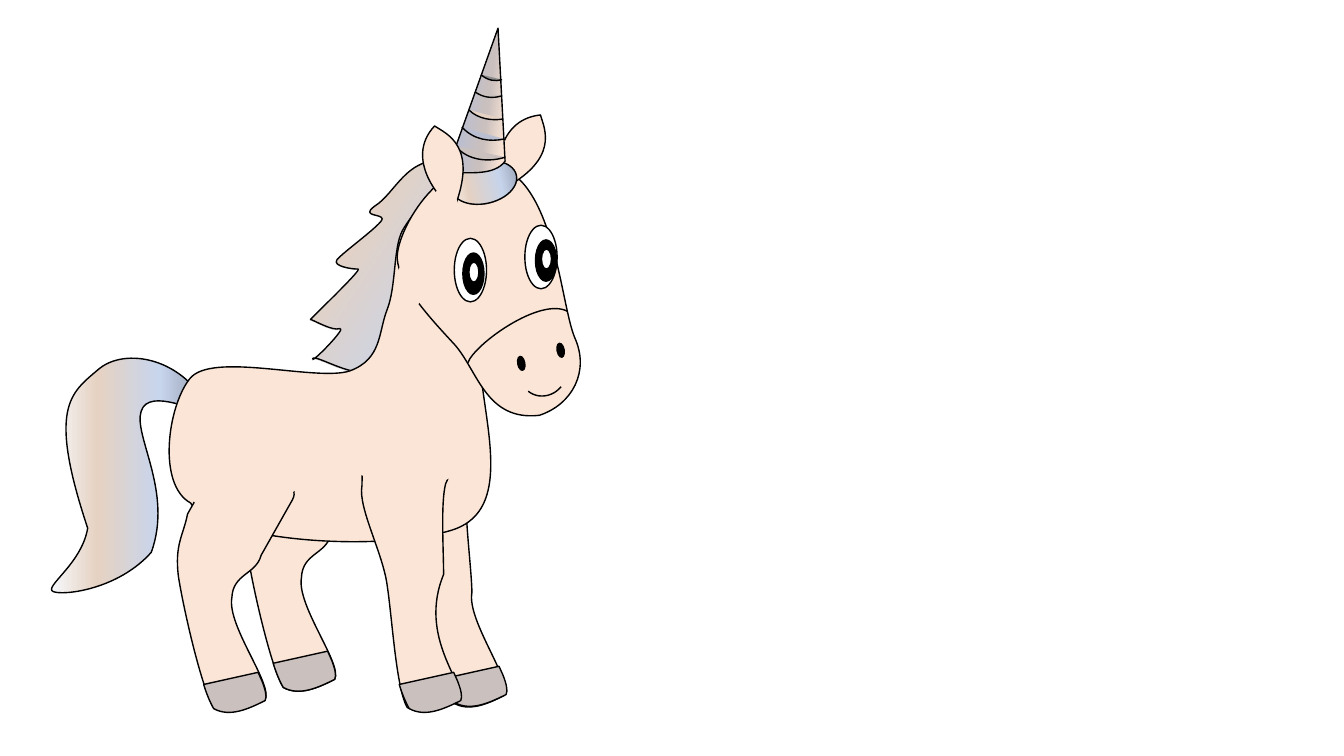
from math import cos, radians, sin

from lxml.etree import SubElement
from pptx import Presentation
from pptx.dml.color import RGBColor
from pptx.enum.shapes import MSO_SHAPE as Preset
from pptx.oxml.ns import qn
from pptx.util import Emu, Pt

PX = 9144
CURVE_STEPS = 24
SKIN, HOOF, BLACK, WHITE = "FBE5D6", "CAC0BE", "000000", "FFFFFF"
HAIR = [(0, "F6F8FC", 100), (29, "E6D2C2", 100), (69, "C7D5ED", 100), (100, "9097A9", 100)]
SHEER_HAIR = [(0, "F6F8FC", 20)] + HAIR[1:]
COAT = [(0, "F6F8FC", 100), (24, SKIN, 100)]
HORN = [(0, "F6F8FC", 100), (24, SKIN, 100), (46, HOOF, 100), (74, "BABED1", 100), (100, "9097A9", 100)]


def color(hex_string):
    """Turn a hex string into a colour."""
    return RGBColor.from_string(hex_string)


def px(length):
    """Turn px into EMU."""
    return Emu(round(length * PX))


def set_gradient(shape, stops, angle):
    """Fill a shape with a linear gradient of (percent, colour, opacity) stops."""
    shape.fill.gradient()
    gradient = shape._element.spPr.find(qn("a:gradFill"))
    gradient.find(qn("a:lin")).set("ang", str(angle * 60000))
    stop_list = gradient.find(qn("a:gsLst"))
    stop_list.clear()
    for percent, hex_string, opacity in stops:
        stop = SubElement(stop_list, qn("a:gs"), pos=str(percent * 1000))
        stop_color = SubElement(stop, qn("a:srgbClr"), val=hex_string)
        if opacity < 100:
            SubElement(stop_color, qn("a:alpha"), val=str(opacity * 1000))


def style(shape, fill, angle=0, outlined=True):
    """Apply a solid, gradient or empty fill and the black outline."""
    shape.shadow.inherit = False
    if fill is None:
        shape.fill.background()
    elif isinstance(fill, str):
        shape.fill.solid()
        shape.fill.fore_color.rgb = color(fill)
    else:
        set_gradient(shape, fill, angle)
    if outlined:
        shape.line.color.rgb = color(BLACK)
        shape.line.width = Pt(1)
    else:
        shape.line.fill.background()


def turn(x, y, degrees):
    """Turn a point clockwise about the zero point."""
    angle = radians(degrees)
    return x * cos(angle) - y * sin(angle), x * sin(angle) + y * cos(angle)


def curve_points(start, controls):
    """List the points along a cubic curve."""
    knots = [start] + controls
    points = []
    for step in range(1, CURVE_STEPS + 1):
        t = step / CURVE_STEPS
        weights = ((1 - t) ** 3, 3 * t * (1 - t) ** 2, 3 * t * t * (1 - t), t ** 3)
        points.append(tuple(sum(w * knot[axis] for w, knot in zip(weights, knots)) for axis in (0, 1)))
    return points


def add_outline(shapes, left, top, segments, fill, rotation=0, angle=0, closed=True):
    """Draw a freeform whose segments are points (2 numbers) or cubic curves (6 numbers)."""
    knots = []
    for segment in segments:
        pairs = zip(segment[::2], segment[1::2])
        knots.append([turn(px(left + x), px(top + y), -rotation) for x, y in pairs])
    points = [knots[0][0]]
    for segment in knots[1:]:
        points += curve_points(points[-1], segment) if len(segment) == 3 else segment
    builder = shapes.build_freeform(round(points[0][0]), round(points[0][1]))
    builder.add_line_segments(points[1:], close=closed)
    shape = builder.convert_to_shape()

    outline = shape._element.spPr.find(".//" + qn("a:path"))
    for child in list(outline):
        outline.remove(child)
    for index, segment in enumerate(knots):
        tag = "a:moveTo" if index == 0 else "a:cubicBezTo" if len(segment) == 3 else "a:lnTo"
        command = SubElement(outline, qn(tag))
        for x, y in segment:
            SubElement(command, qn("a:pt"), x=str(round(x - shape.left)), y=str(round(y - shape.top)))
    if closed:
        SubElement(outline, qn("a:close"))

    center_x, center_y = turn(shape.left + shape.width / 2, shape.top + shape.height / 2, rotation)
    shape.left = Emu(round(center_x - shape.width / 2))
    shape.top = Emu(round(center_y - shape.height / 2))
    shape.rotation = rotation
    style(shape, fill, angle)


def add_preset(shapes, left, top, width, height, fill, rotation=0, outlined=True, preset=Preset.OVAL):
    """Draw an oval or another preset shape."""
    shape = shapes.add_shape(preset, px(left), px(top), px(width), px(height))
    shape.rotation = rotation
    style(shape, fill, outlined=outlined)


def draw_hind_leg(shapes, left, top):
    """Draw a hind leg hanging from its thigh."""
    add_outline(shapes, left, top, [
        (0, 0), (3, -7, 12, -9, 19, -5), (68, 22), (74, 26, 77, 34, 73, 41), (42, 96),
        (37, 115, 14, 114, 13, 138), (8, 166, 54, 224, 46, 239), (30, 247, 11, 256, -5, 247),
        (-17, 228, -35, 149, -40, 117), (-44, 85, -35, 76, -31, 55)], SKIN, 29.3)


def draw_hoof(shapes, left, top):
    """Draw a hoof from its upper right corner."""
    add_outline(shapes, left, top, [
        (0, 0), (4, 9), (7, 17, 9, 24, 7, 28), (-9, 36, -28, 45, -44, 36),
        (-47, 31, -51, 22, -54, 12)], HOOF, 348.1)


def draw_body(shapes, left, top):
    """Draw the tail, mane, trunk, legs and hooves."""
    add_outline(shapes, left, top, [
        (53, 587), (42, 583, 81, 560, 87, 524), (47, 404, 70, 390, 97, 367),
        (124, 343, 184, 356, 207, 407), (198, 412, 148, 383, 140, 408),
        (132, 432, 172, 488, 150, 548), (117, 585, 63, 591, 53, 587)], HAIR)
    draw_hind_leg(shapes, left + 286, top + 435)
    add_outline(shapes, left, top, [
        (421, 437), (438, 432, 459, 434, 471, 441), (478, 457, 473, 455, 464, 474),
        (458, 493, 468, 564, 468, 588), (463, 616, 508, 674, 500, 690),
        (484, 698, 465, 707, 449, 697), (437, 679, 419, 600, 415, 568),
        (410, 536, 407, 512, 411, 491)], SKIN, 29.3)
    add_outline(shapes, left, top, [
        (470, 167), (514, 199), (448, 299), (412, 367), (396, 366, 409, 371, 370, 364),
        (358, 381, 312, 350, 310, 356), (308, 362, 345, 324, 337, 326),
        (330, 329, 310, 317, 308, 317), (306, 318, 361, 266, 355, 267),
        (348, 267, 330, 264, 334, 258), (339, 251, 380, 222, 379, 217),
        (378, 212, 358, 215, 371, 205), (397, 189, 406, 140, 470, 167)], SHEER_HAIR, 33.5)
    add_outline(shapes, left, top, [
        (384, 307), (393, 284, 390, 246, 399, 229), (408, 212, 448, 165, 461, 178),
        (475, 192, 481, 254, 481, 309), (455, 367, 528, 501, 448, 526),
        (368, 550, 207, 534, 189, 499), (156, 481, 166, 404, 188, 376),
        (209, 348, 314, 379, 347, 368), (379, 356, 375, 330, 384, 307)], COAT, angle=45)
    draw_hind_leg(shapes, left + 217, top + 455)
    add_outline(shapes, left, top, [
        (360, 440), (376, 434, 430, 429, 442, 436), (449, 452, 451, 461, 442, 480),
        (437, 499, 440, 546, 440, 570), (414, 633, 463, 679, 456, 695),
        (439, 702, 421, 711, 404, 702), (393, 684, 389, 613, 384, 581),
        (380, 549, 355, 504, 359, 482)], SKIN, 29.3)
    for x, y in [(256, 667), (325, 646), (495, 661), (450, 667)]:
        draw_hoof(shapes, left + x, top + y)


def draw_eye(shapes, left, top, pupil_shift):
    """Draw an eye in the frame of its white, with the pupil shifted sideways."""
    add_preset(shapes, left, top, 63, 32, WHITE, 90)
    add_preset(shapes, left + 11 + pupil_shift, top + 9, 41, 21, BLACK, 90)
    add_preset(shapes, left + 22 + pupil_shift, top + 13, 20, 10, WHITE, 90)


def draw_horn(shapes, left, top):
    """Draw the horn and its ridges."""
    add_outline(shapes, left, top, [
        (443, 171), (494, 28), (501, 160), (490, 175, 464, 171, 443, 171)], HORN, 7.5, 180)
    ridges = [
        ("8C8C8C", (477, 74), (484, 80, 491, 81, 498, 79)),
        (HOOF, (471, 91), (479, 97, 489, 98, 498, 95)),
        ("E6D2C2", (465, 109), (474, 118, 488, 120, 499, 118)),
        ("BABED1", (458, 126), (470, 139, 486, 141, 500, 138)),
        (HOOF, (452, 145), (464, 160, 486, 161, 501, 156))]
    for fill, start, curve in ridges:
        add_outline(shapes, left, top, [start, curve], fill, 350.3, closed=False)


def draw_head(shapes, left, top):
    """Draw the head, ears, horn and face, with patches that blend the joints."""
    add_outline(shapes, left, top, [
        (493, 165), (550, 180, 556, 302, 570, 335), (585, 368, 568, 401, 535, 412),
        (482, 418, 474, 368, 451, 342), (427, 316, 396, 283, 394, 257),
        (392, 231, 436, 151, 493, 165)], SKIN, 70.7)
    add_outline(shapes, left, top, [
        (496, 189), (556, 158, 540, 128, 536, 114), (490, 119, 491, 175, 496, 189)], SKIN, 110.6)
    forelock = shapes.add_shape(Preset.OVAL, px(left + 447), px(top + 160), px(66), px(42))
    forelock.rotation = 347.3
    style(forelock, SHEER_HAIR)
    patches = [(184, 438, 125, 68, 345.4), (343, 419, 125, 63, 0), (379, 263, 59, 30, 98.1)]
    for x, y, width, height, rotation in patches:
        add_preset(shapes, left + x, top + y, width, height, SKIN, rotation, outlined=False)
    add_preset(shapes, left + 515, top + 347, 48, 45, None, 129, preset=Preset.ARC)
    add_outline(shapes, left, top, [(464, 360), (470, 342, 536, 294, 563, 309)], None, 34, closed=False)
    draw_horn(shapes, left, top)
    add_outline(shapes, left, top, [
        (450, 208), (475, 145, 443, 133, 431, 125), (400, 158, 438, 200, 450, 208)], SKIN, 70)
    add_preset(shapes, left + 419, top + 192, 40, 30, SKIN, 98.1, outlined=False)
    for x, y in [(510, 357), (549, 344)]:
        add_preset(shapes, left + x, top + y, 14, 7, BLACK, 79.3)
    for x, y, pupil_shift in [(435, 252, 3), (505, 239, 5)]:
        draw_eye(shapes, left + x, top + y, pupil_shift)


def main():
    """Build the unicorn slide."""
    presentation = Presentation()
    presentation.slide_width, presentation.slide_height = px(1333), px(750)
    slide = presentation.slides.add_slide(presentation.slide_layouts[6])
    unicorn = slide.shapes.add_group_shape()
    draw_body(unicorn.shapes, 0, 0)
    draw_head(unicorn.shapes, 0, 0)
    presentation.save("out.pptx")


if __name__ == "__main__":
    main()
